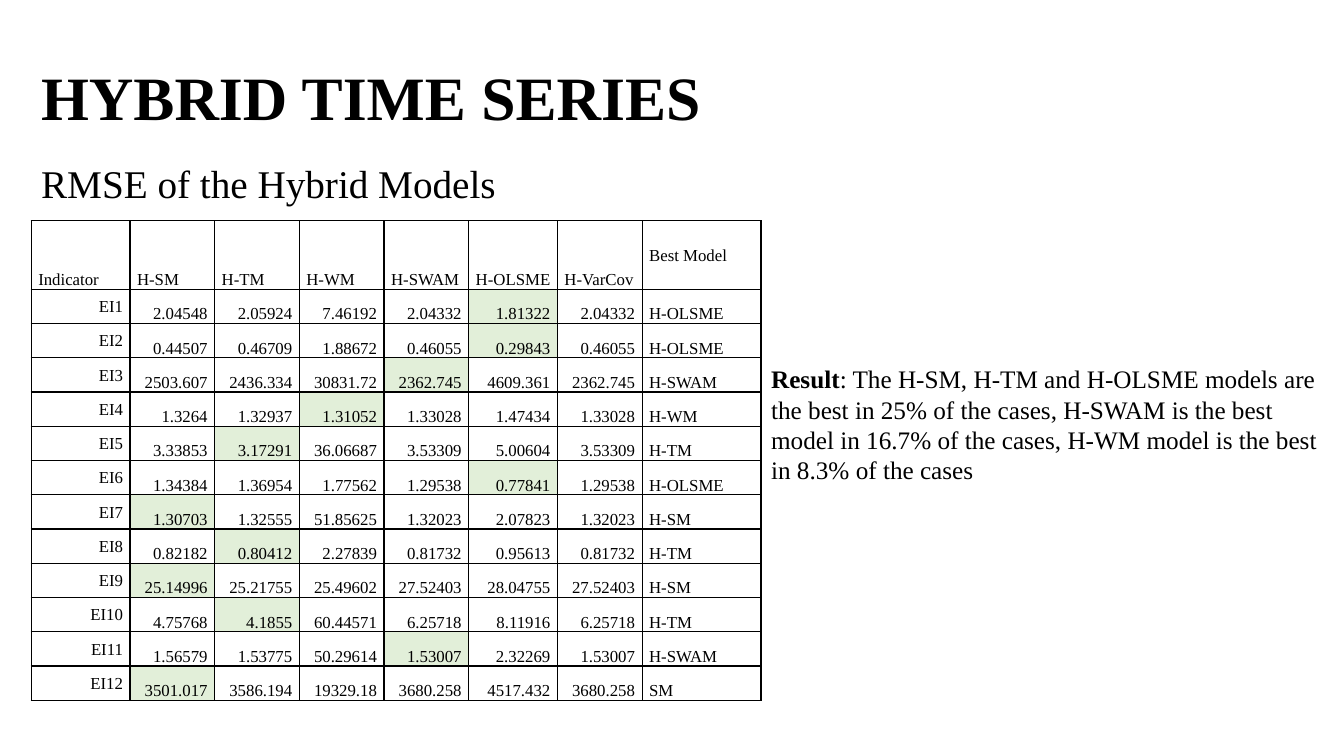
from lxml.etree import SubElement
from pptx import Presentation
from pptx.dml.color import RGBColor
from pptx.enum.text import MSO_ANCHOR, PP_ALIGN
from pptx.oxml.ns import qn
from pptx.util import Inches, Pt

TITLE = "HYBRID TIME SERIES"
SUBTITLE = "RMSE of the Hybrid Models"
RESULT = [
    ("Result", True),
    (": The H-SM, H-TM and H-OLSME models are the best in 25% of the cases, "
     "H-SWAM is the best model in 16.7% of the cases, "
     "H-WM model is the best in 8.3% of the cases", False),
]
HEADER = ["Indicator", "H-SM", "H-TM", "H-WM", "H-SWAM", "H-OLSME", "H-VarCov", "Best Model"]
RMSE = [
    ("EI1", 2.04548, 2.05924, 7.46192, 2.04332, 1.81322, 2.04332, "H-OLSME"),
    ("EI2", 0.44507, 0.46709, 1.88672, 0.46055, 0.29843, 0.46055, "H-OLSME"),
    ("EI3", 2503.607, 2436.334, 30831.72, 2362.745, 4609.361, 2362.745, "H-SWAM"),
    ("EI4", 1.3264, 1.32937, 1.31052, 1.33028, 1.47434, 1.33028, "H-WM"),
    ("EI5", 3.33853, 3.17291, 36.06687, 3.53309, 5.00604, 3.53309, "H-TM"),
    ("EI6", 1.34384, 1.36954, 1.77562, 1.29538, 0.77841, 1.29538, "H-OLSME"),
    ("EI7", 1.30703, 1.32555, 51.85625, 1.32023, 2.07823, 1.32023, "H-SM"),
    ("EI8", 0.82182, 0.80412, 2.27839, 0.81732, 0.95613, 0.81732, "H-TM"),
    ("EI9", 25.14996, 25.21755, 25.49602, 27.52403, 28.04755, 27.52403, "H-SM"),
    ("EI10", 4.75768, 4.1855, 60.44571, 6.25718, 8.11916, 6.25718, "H-TM"),
    ("EI11", 1.56579, 1.53775, 50.29614, 1.53007, 2.32269, 1.53007, "H-SWAM"),
    ("EI12", 3501.017, 3586.194, 19329.18, 3680.258, 4517.432, 3680.258, "SM"),
]
COLORS = {"text": "000000", "line": "000000", "cell": "FFFFFF", "best": "E2EFD9"}
FONT = "Times New Roman"

WIDTH, HEIGHT = 13.33, 7.5
LEFT, TABLE_TOP, TABLE_HEIGHT = 0.31, 2.19, 4.76
COLUMNS = [0.98, 0.84, 0.84, 0.84, 0.84, 0.88, 0.84, 1.18]
ROW = TABLE_HEIGHT / (len(RMSE) + 2)  # the header is two rows high
TABLE_RIGHT = LEFT + sum(COLUMNS)


def write(tf, runs, size, bold=False, align=PP_ALIGN.LEFT, spacing=None):
    """Fill the first paragraph with a string or with (text, bold) runs."""
    p = tf.paragraphs[0]
    p.alignment = align
    if spacing:
        p.line_spacing = spacing
    for text, is_bold in [(runs, bold)] if isinstance(runs, str) else runs:
        r = p.add_run()
        r.text = text
        r.font.name, r.font.size, r.font.bold = FONT, Pt(size), is_bold
        r.font.color.rgb = RGBColor.from_string(COLORS["text"])


def add_text(s, box, runs, size, anchor=MSO_ANCHOR.MIDDLE, **fmt):
    tf = s.shapes.add_textbox(*map(Inches, box)).text_frame
    tf.word_wrap = True
    tf.vertical_anchor = anchor
    write(tf, runs, size, **fmt)


def add_borders(cell):
    tc_pr = cell._tc.get_or_add_tcPr()
    for i, side in enumerate(("lnL", "lnR", "lnT", "lnB")):
        ln = SubElement(tc_pr, qn(f"a:{side}"), w=str(Pt(1)))
        fill = SubElement(ln, qn("a:solidFill"))
        SubElement(fill, qn("a:srgbClr"), val=COLORS["line"])
        tc_pr.remove(ln)
        tc_pr.insert(i, ln)  # borders come before the fill


def format_cell(cell, text, fill, anchor, align):
    cell.margin_left = cell.margin_right = Inches(0.07)
    cell.margin_top = cell.margin_bottom = 0
    cell.vertical_anchor = anchor
    cell.fill.solid()
    cell.fill.fore_color.rgb = RGBColor.from_string(COLORS[fill])
    add_borders(cell)
    write(cell.text_frame, text, 12, align=align, spacing=1.07)


def add_rmse_table(s):
    rows = [HEADER, *RMSE]
    last = len(HEADER) - 1
    box = (LEFT, TABLE_TOP, sum(COLUMNS), TABLE_HEIGHT)
    table = s.shapes.add_table(len(rows), len(HEADER), *map(Inches, box)).table
    table.first_row = table.horz_banding = False
    for column, width in zip(table.columns, COLUMNS):
        column.width = Inches(width)
    for i, row in enumerate(rows):
        table.rows[i].height = Inches(ROW if i else 2 * ROW)
        values = row[1:last]
        best = 1 + values.index(min(values)) if i else None
        for j, value in enumerate(row):
            centred = j == (0 if i else last)
            format_cell(
                table.cell(i, j), str(value),
                fill="best" if j == best else "cell",
                anchor=MSO_ANCHOR.MIDDLE if centred else MSO_ANCHOR.BOTTOM,
                align=PP_ALIGN.RIGHT if i and j < last else PP_ALIGN.LEFT,
            )


def main():
    prs = Presentation()
    prs.slide_width, prs.slide_height = Inches(WIDTH), Inches(HEIGHT)
    s = prs.slides.add_slide(prs.slide_layouts[6])
    add_text(s, (LEFT, 0.5, 11.5, 1), TITLE, 44, bold=True, spacing=0.9)
    add_text(s, (LEFT, 1.5, 11.5, TABLE_TOP - 1.5), SUBTITLE, 28, spacing=0.9)
    add_rmse_table(s)
    add_text(s, (TABLE_RIGHT, 3.56, 5.66, 1.31), RESULT, 18, anchor=MSO_ANCHOR.TOP)
    prs.save("out.pptx")


if __name__ == "__main__":
    main()
